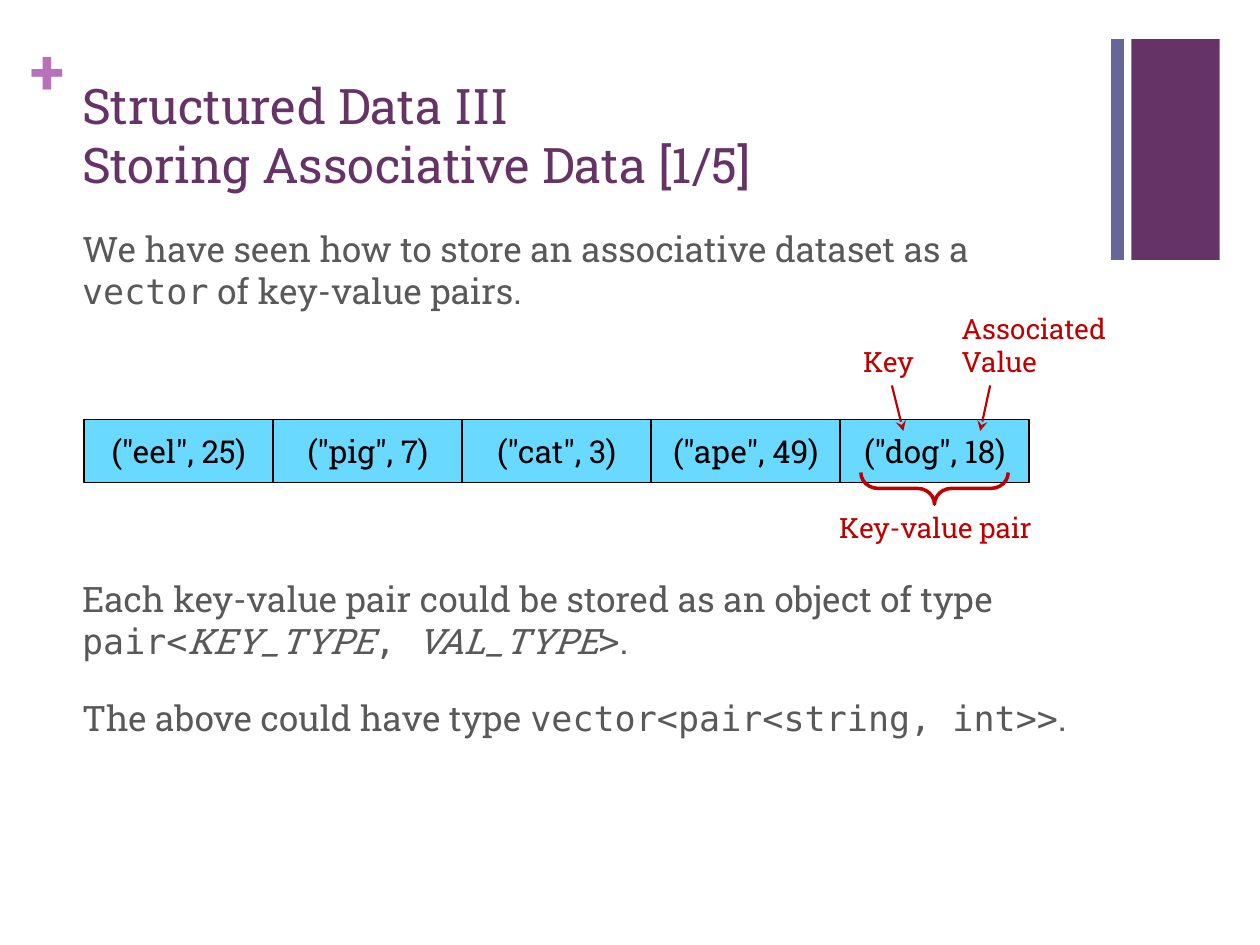
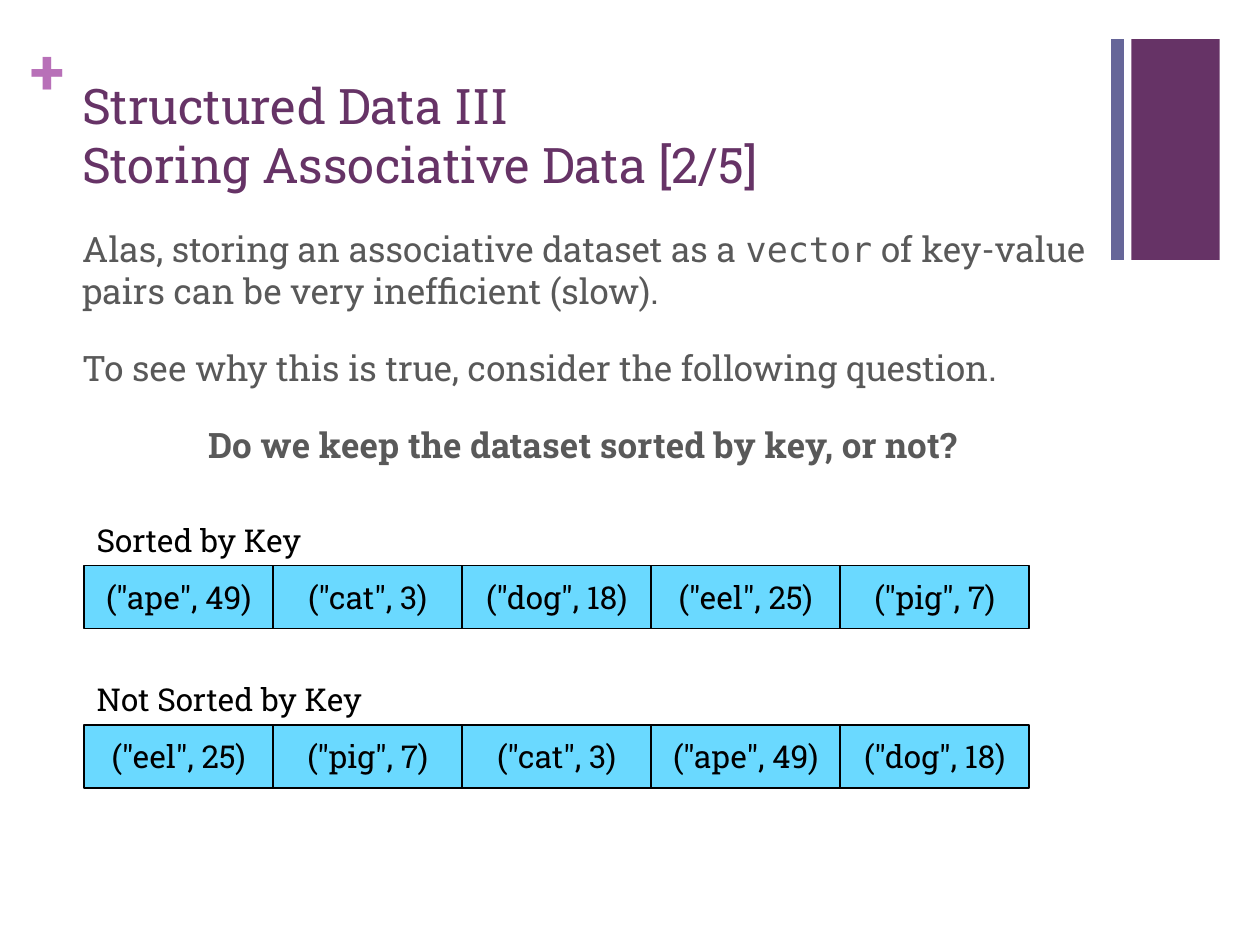
import dataclasses
import lxml.etree
import pptx
import pptx.dml.color
import pptx.enum.shapes
import pptx.enum.text
import pptx.oxml.ns
import pptx.util

Cm = pptx.util.Cm
Pt = pptx.util.Pt
RGB = pptx.dml.color.RGBColor.from_string
qn = pptx.oxml.ns.qn
SHAPE = pptx.enum.shapes.MSO_SHAPE
ALIGN = pptx.enum.text.PP_ALIGN
ANCHOR = pptx.enum.text.MSO_ANCHOR
FIT = pptx.enum.text.MSO_AUTO_SIZE


@dataclasses.dataclass(frozen=True)
class Theme:
    """Fonts, colours and type sizes of the deck."""
    slab: str = "Roboto Slab"
    mono: str = "DejaVu Sans Mono"
    plum: str = "663366"
    slate: str = "666699"
    orchid: str = "B870B8"
    gray: str = "595959"
    black: str = "000000"
    sky: str = "6AD9FF"
    red: str = "C00000"
    plus: int = 36
    title: int = 28
    body: int = 20
    cell: int = 18
    note: int = 16


theme = Theme()


def write(par, runs, size, color):
    """Add (text, style) runs; style may hold m (mono), i (italic), b (bold)."""
    for text, style in runs:
        run = par.add_run()
        run.text = text
        run.font.name = theme.mono if "m" in style else theme.slab
        run.font.size = Pt(size)
        run.font.color.rgb = RGB(color)
        run.font.italic = "i" in style
        run.font.bold = "b" in style


def label(slide, box, text, size, color, style="", align=ALIGN.LEFT):
    """Add a wrapped text box at box, in cm, and return its frame."""
    frame = slide.shapes.add_textbox(*map(Cm, box)).text_frame
    frame.word_wrap = True
    par = frame.paragraphs[0]
    par.alignment = align
    write(par, [(text, style)], size, color)
    return frame


# Content: each body item is (space before in pt, indent in cm, runs)
GAP = 20
ROOM = 152  # space left for the drawing between two paragraphs
eel, pig, cat, ape, dog = (
    '("eel", 25)', '("pig", 7)', '("cat", 3)', '("ape", 49)', '("dog", 18)')
mixed = [eel, pig, cat, ape, dog]
ranked = [ape, cat, dog, eel, pig]

pages = [
    {
        "body": [
            (GAP, 0, [("We have seen how to store an associative dataset as a ", ""),
                      ("vector", "m"), (" of key-value pairs.", "")]),
            (ROOM, 0, [("Each key-value pair could be stored as an object of type ", ""),
                       ("pair<", "m"), ("KEY_TYPE", "i"), (", ", "m"),
                       ("VAL_TYPE", "i"), (">", "m"), (".", "")]),
            (GAP, 0, [("The above could have type ", ""),
                      ("vector<pair<string, int>>", "m"), (".", "")]),
        ],
        "rows": [(8.46, mixed)],
        "notes": [],
    },
    {
        "body": [
            (GAP, 0, [("Alas, storing an associative dataset as a ", ""), ("vector", "m"),
                      (" of key-value pairs can be very inefficient (slow).", "")]),
            (GAP, 0, [("To see why this is true, consider the following question.", "")]),
            (GAP, 2.54, [("Do we keep the dataset sorted by key, or not?", "b")]),
        ],
        "rows": [(11.4, ranked), (14.61, mixed)],
        "notes": [(10.37, "Sorted by Key"), (13.59, "Not Sorted by Key")],
    },
]

LEFT, WIDE, HIGH = 1.7, 3.81, 1.27  # cells of a row

deck = pptx.Presentation()
deck.slide_width, deck.slide_height = Cm(25.4), Cm(19.05)

for num, page in enumerate(pages, 1):
    slide = deck.slides.add_slide(deck.slide_layouts[1])
    title, body = slide.placeholders

    # Corner bands and plus sign
    for left, width, color in [(22.81, 1.78, theme.plum), (22.4, 0.26, theme.slate)]:
        band = slide.shapes.add_shape(
            SHAPE.RECTANGLE, Cm(left), Cm(0.79), Cm(width), Cm(4.45))
        band.shadow.inherit = False
        band.fill.solid()
        band.fill.fore_color.rgb = RGB(color)
        band.line.fill.background()
    frame = label(slide, (0.61, 0.64, 0.74, 1.55), "+", theme.plus, theme.orchid, "b")
    frame.margin_left = frame.margin_right = frame.margin_top = frame.margin_bottom = 0

    # Title and body
    for holder, top, height, anchor in [
            (title, 1.35, 2.67, ANCHOR.BOTTOM), (body, 4.45, 13.13, ANCHOR.TOP)]:
        holder.left, holder.top = Cm(1.4), Cm(top)
        holder.width, holder.height = Cm(20.98), Cm(height)
        holder.text_frame.auto_size = FIT.NONE
        holder.text_frame.vertical_anchor = anchor
    par = title.text_frame.paragraphs[0]
    par.alignment = ALIGN.LEFT
    write(par, [("Structured Data III", "")], theme.title, theme.plum)
    par.add_line_break()
    write(par, [(f"Storing Associative Data [{num}/5]", "")], theme.title, theme.plum)

    for spot, (space, indent, runs) in enumerate(page["body"]):
        frame = body.text_frame
        par = frame.add_paragraph() if spot else frame.paragraphs[0]
        par.space_before = Pt(space)
        props = par._p.get_or_add_pPr()
        props.set("marL", str(Cm(indent)))
        props.set("indent", "0")
        lxml.etree.SubElement(props, qn("a:buNone"))
        write(par, runs, theme.body, theme.gray)

    # Rows of key-value cells
    for top, pairs in page["rows"]:
        for col, pair in enumerate(pairs):
            cell = slide.shapes.add_shape(
                SHAPE.RECTANGLE, Cm(LEFT + col * WIDE), Cm(top), Cm(WIDE), Cm(HIGH))
            cell.shadow.inherit = False
            cell.fill.solid()
            cell.fill.fore_color.rgb = RGB(theme.sky)
            cell.line.color.rgb = RGB(theme.black)
            cell.line.width = Pt(1)
            cell.text_frame.vertical_anchor = ANCHOR.MIDDLE
            par = cell.text_frame.paragraphs[0]
            par.alignment = ALIGN.CENTER
            write(par, [(pair, "")], theme.cell, theme.black)
    for top, text in page["notes"]:
        label(slide, (LEFT, top, 7.62, 1.02), text, theme.cell, theme.black)

# Red remarks on the last cell of the first slide
first = deck.slides[0]
for box, text, align in [
        ((16.61, 10.16, 4.5, 0.94), "Key-value pair", ALIGN.CENTER),
        ((17.15, 6.83, 2.34, 0.94), "Key", ALIGN.LEFT),
        ((19.13, 6.15, 4.17, 1.63), "Associated Value", ALIGN.LEFT)]:
    label(first, box, text, theme.note, theme.red, align=align)

for start, end in [(17.98, 18.21), (19.96, 19.76)]:
    arrow = first.shapes.add_connector(
        pptx.enum.shapes.MSO_CONNECTOR.STRAIGHT, Cm(start), Cm(7.77), Cm(end), Cm(8.69))
    arrow.line.color.rgb = RGB(theme.red)
    arrow.line.width = Pt(1.25)
    lxml.etree.SubElement(arrow.line._get_or_add_ln(), qn("a:tailEnd"), type="stealth")
    lxml.etree.SubElement(arrow._element.spPr, qn("a:effectLst"))

brace = first.shapes.add_shape(SHAPE.LEFT_BRACE, Cm(18.52), Cm(8.36), Cm(0.64), Cm(2.97))
brace.rotation = 270
brace.adjustments[0], brace.adjustments[1] = 0.54, 0.5
brace.shadow.inherit = False
brace.fill.background()
brace.line.color.rgb = RGB(theme.red)
brace.line.width = Pt(2)

deck.save("out.pptx")
